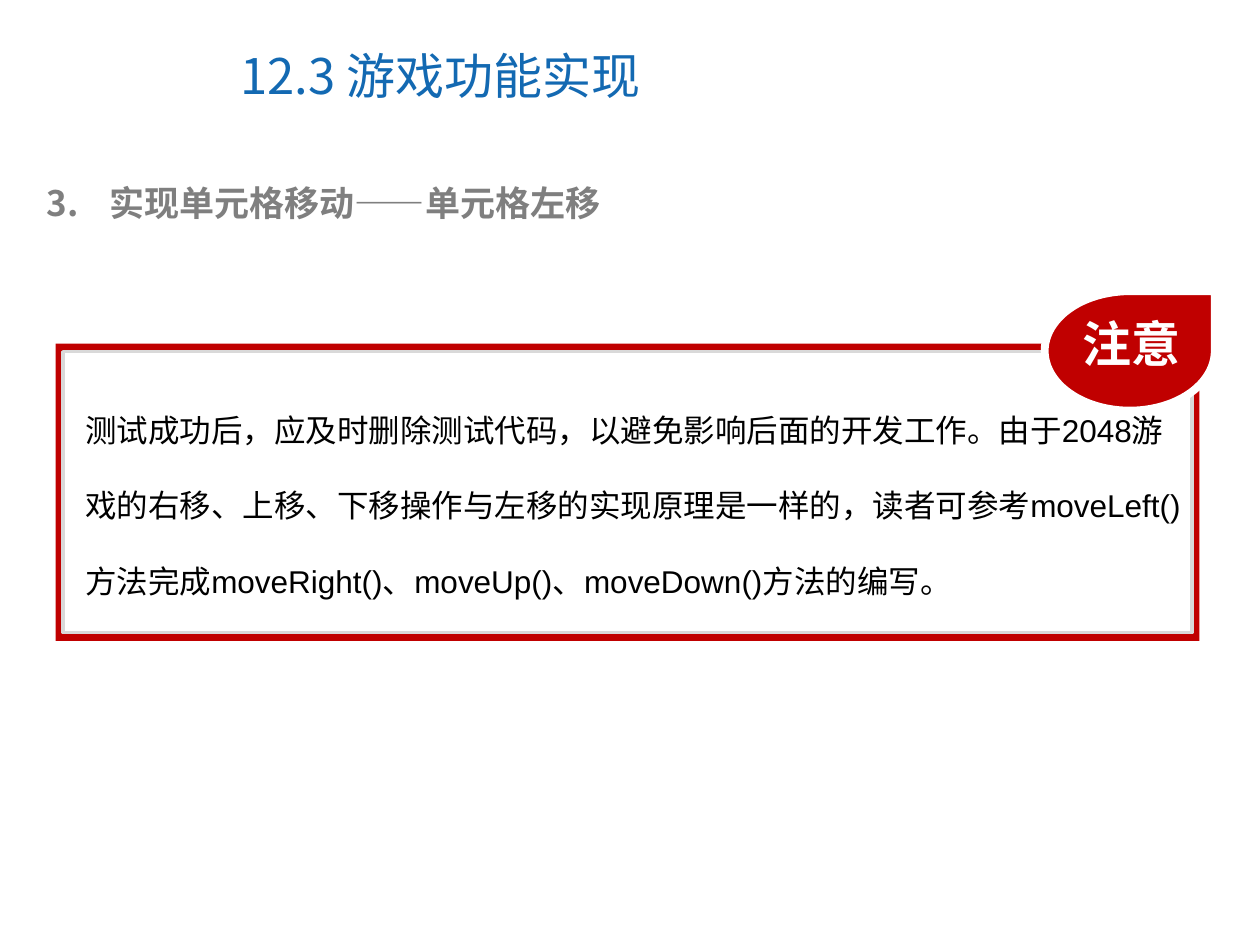
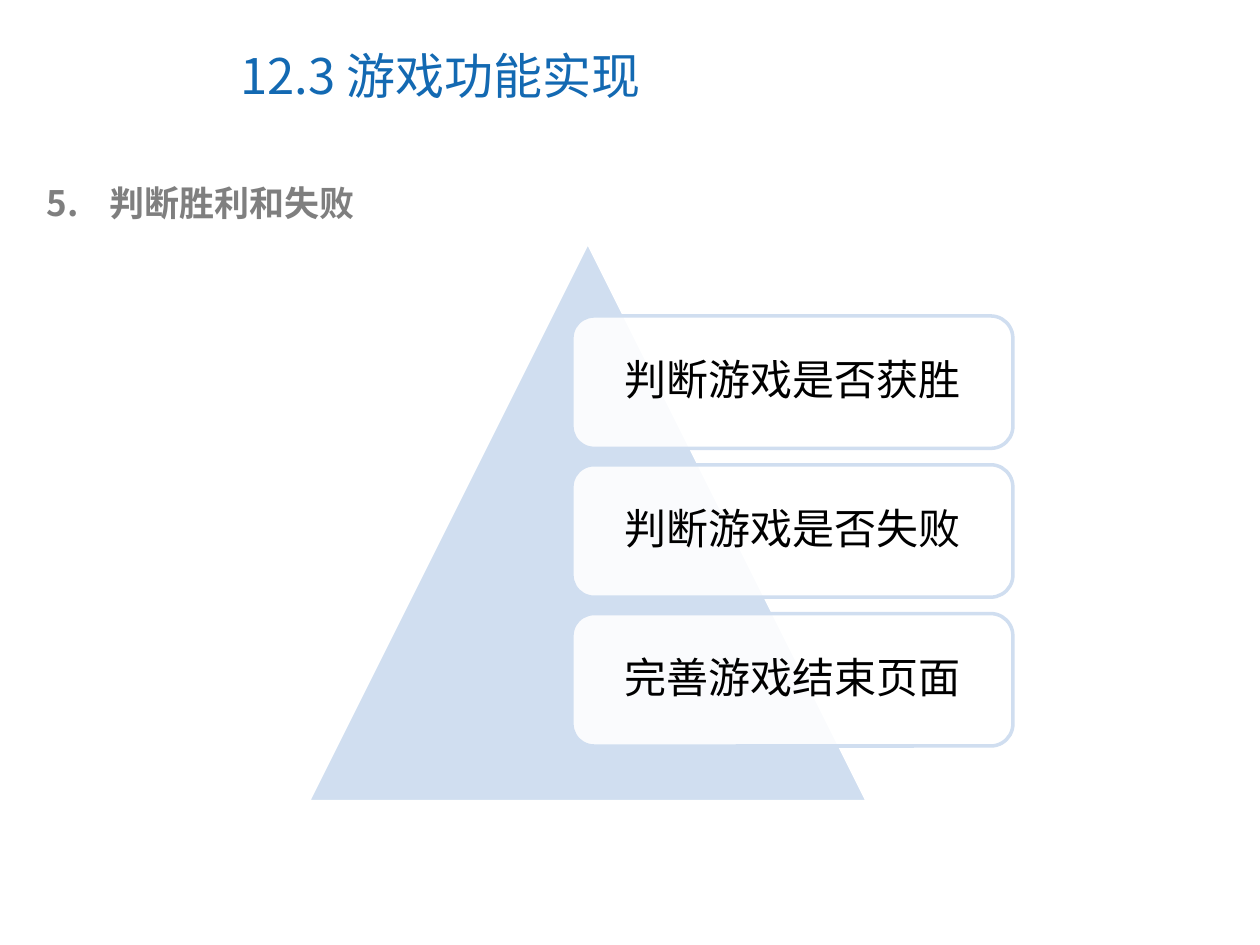
"""Builds two lesson slides on game features: a note and a pyramid list."""
from dataclasses import dataclass
from typing import Optional

from lxml.etree import SubElement
from pptx import Presentation
from pptx.dml.color import RGBColor
from pptx.enum.shapes import MSO_SHAPE
from pptx.enum.text import MSO_ANCHOR, PP_ALIGN
from pptx.oxml.ns import qn
from pptx.util import Cm, Pt

BLUE = RGBColor(0x13, 0x69, 0xB2)
GREY = RGBColor(0x7F, 0x7F, 0x7F)
SILVER = RGBColor(0xD9, 0xD9, 0xD9)
RED = RGBColor(0xC0, 0x00, 0x00)
PALE = RGBColor(0xD0, 0xDE, 0xF0)
WHITE = RGBColor(0xFF, 0xFF, 0xFF)
BLACK = RGBColor(0x00, 0x00, 0x00)
SANS = "Noto Sans CJK SC"
LATIN = "Arial"


@dataclass(frozen=True)
class Box:
    """Place and size in centimetres."""
    left: float
    top: float
    width: float
    height: float

    def emu(self) -> tuple:
        """Return the four lengths for python-pptx."""
        return Cm(self.left), Cm(self.top), Cm(self.width), Cm(self.height)


@dataclass(frozen=True)
class Style:
    """Look of a text."""
    size: float
    color: RGBColor
    face: str = SANS
    bold: bool = False


@dataclass(frozen=True)
class Form:
    """Preset shape with its fill and line."""
    kind: MSO_SHAPE
    fill: RGBColor
    line: Optional[RGBColor] = None
    width: float = 2
    alpha: int = 100


TITLE = Style(28, BLUE)
HEAD = Style(20, GREY, bold=True)
BADGE = Style(28, WHITE, bold=True)
BODY = Style(18, BLACK, LATIN)
ITEM = Style(24, BLACK, LATIN)

FRAME = Form(MSO_SHAPE.RECTANGLE, RED)
PANEL = Form(MSO_SHAPE.RECTANGLE, WHITE, SILVER)
DROP = Form(MSO_SHAPE.TEAR, RED, WHITE, 4.5)
PEAK = Form(MSO_SHAPE.ISOSCELES_TRIANGLE, PALE, WHITE)
CARD = Form(MSO_SHAPE.ROUNDED_RECTANGLE, WHITE, PALE, alpha=90)

NOTE = ("测试成功后，应及时删除测试代码，以避免影响后面的开发工作。"
        "由于2048游戏的右移、上移、下移操作与左移的实现原理是一样的，"
        "读者可参考moveLeft()方法完成moveRight()、moveUp()、moveDown()方法的编写。")
STEPS = ("判断游戏是否获胜", "判断游戏是否失败", "完善游戏结束页面")
CARD_TOP, CARD_STEP = 6.37, 3.0


def write(shape, text: str, style: Style):
    """Put styled text in a wrapping shape and return its paragraph."""
    shape.text_frame.word_wrap = True
    para = shape.text_frame.paragraphs[0]
    para.text = text
    for run in para.runs:
        font = run.font
        font.size, font.bold, font.name = Pt(style.size), style.bold, style.face
        font.color.rgb = style.color
        SubElement(font._element, qn("a:ea"), typeface=SANS)
    return para


def label(slide, box: Box, text: str, style: Style,
          anchor: MSO_ANCHOR = MSO_ANCHOR.TOP):
    """Add a text box and return its paragraph."""
    shape = slide.shapes.add_textbox(*box.emu())
    shape.text_frame.vertical_anchor = anchor
    return write(shape, text, style)


def draw(slide, box: Box, form: Form):
    """Add a preset shape."""
    shape = slide.shapes.add_shape(form.kind, *box.emu())
    shape.shadow.inherit = False
    shape.fill.solid()
    shape.fill.fore_color.rgb = form.fill
    if form.alpha < 100:
        color = shape._element.spPr.find(f"{qn('a:solidFill')}/{qn('a:srgbClr')}")
        SubElement(color, qn("a:alpha"), val=str(form.alpha * 1000))
    if form.line is None:
        shape.line.fill.background()
    else:
        shape.line.color.rgb = form.line
        shape.line.width = Pt(form.width)
    return shape


def start(deck, number: int, head: str):
    """Add a slide with the shared title and a numbered heading."""
    slide = deck.slides.add_slide(deck.slide_layouts[6])
    label(slide, Box(4.6, 0.43, 13.11, 2.16), "12.3 游戏功能实现", TITLE,
          MSO_ANCHOR.MIDDLE)
    para = label(slide, Box(0.69, 3.53, 23.42, 1.12), head, HEAD)
    props = para._p.get_or_add_pPr()
    props.set("marL", str(Cm(1.27)))
    props.set("indent", str(-Cm(1.27)))
    color = SubElement(props, qn("a:buClr"))
    SubElement(color, qn("a:srgbClr"), val=str(GREY))
    SubElement(props, qn("a:buFont"), typeface=SANS)
    SubElement(props, qn("a:buAutoNum"), type="arabicPeriod", startAt=str(number))
    return slide


def note(deck) -> None:
    """Build the slide with the framed note."""
    slide = start(deck, 3, "实现单元格移动——单元格左移")
    draw(slide, Box(1.12, 6.93, 23.06, 5.99), FRAME)
    draw(slide, Box(1.27, 7.09, 22.76, 5.66), PANEL)
    draw(slide, Box(21.06, 5.87, 3.43, 2.41), DROP)
    label(slide, Box(21.58, 6.2, 2.7, 1.45), "注意", BADGE)
    para = label(slide, Box(1.47, 7.39, 22.61, 4.83), NOTE, BODY)
    para.line_spacing = 2.0


def result(deck) -> None:
    """Build the slide with the pyramid list."""
    slide = start(deck, 5, "判断胜利和失败")
    draw(slide, Box(6.21, 4.88, 11.28, 11.28), PEAK)
    for row, step in enumerate(STEPS):
        card = draw(slide, Box(11.53, CARD_TOP + row * CARD_STEP, 8.89, 2.67), CARD)
        frame = card.text_frame
        frame.vertical_anchor = MSO_ANCHOR.MIDDLE
        frame.margin_left = frame.margin_right = Cm(0.53)
        frame.margin_top = frame.margin_bottom = Cm(0.53)
        para = write(card, step, ITEM)
        para.alignment = PP_ALIGN.CENTER
        para.line_spacing = 0.9
        para.space_after = Pt(10.5)


def main() -> None:
    """Build and save the deck."""
    deck = Presentation()
    deck.slide_width, deck.slide_height = Cm(25.4), Cm(19.05)
    note(deck)
    result(deck)
    deck.save("out.pptx")


if __name__ == "__main__":
    main()
